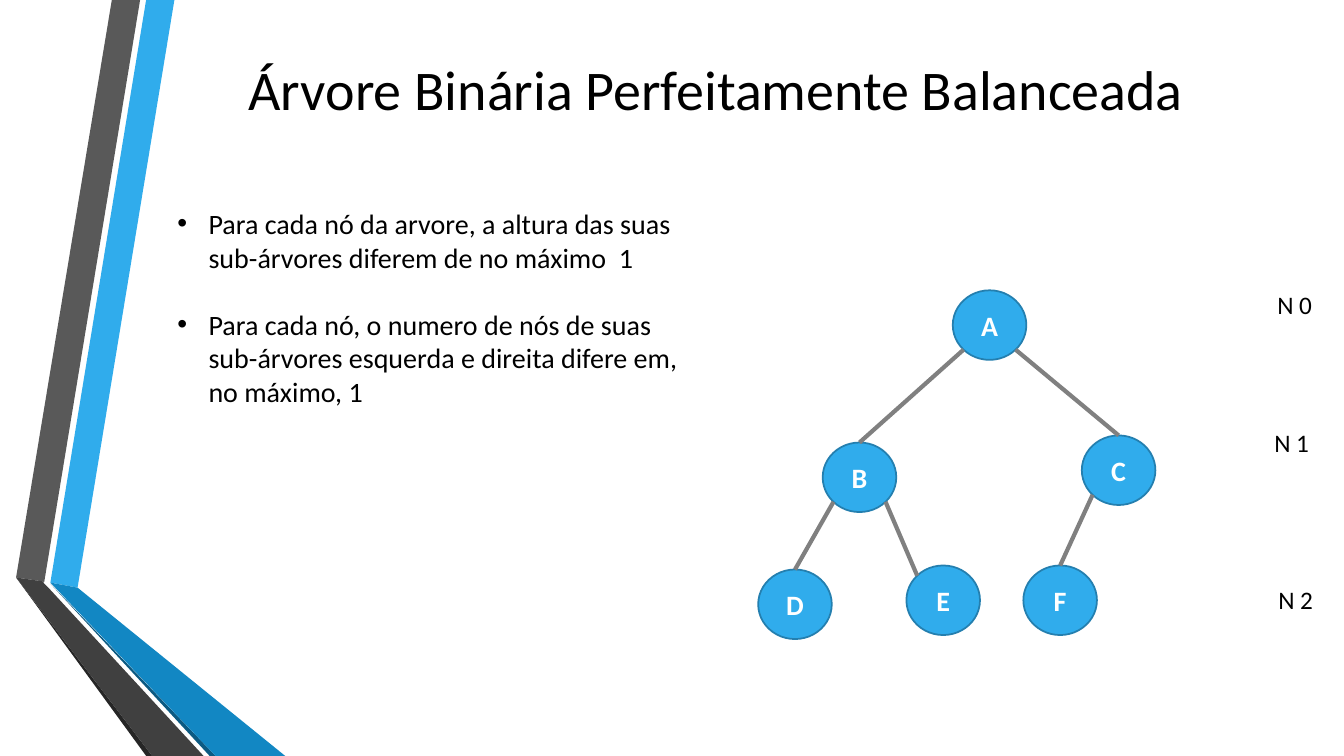
from dataclasses import dataclass

import pptx
import pptx.dml.color
import pptx.enum.shapes
import pptx.enum.text
import pptx.oxml.ns
import pptx.util
from lxml import etree
from pptx.shapes.base import BaseShape
from pptx.slide import Slide
from pptx.text.text import _Paragraph

PX = 9144  # 100 px to the inch


@dataclass(frozen=True)
class Theme:
    font: str = "Calibri"
    ink: str = "000000"
    node_text: str = "FFFFFF"
    node_fill: str = "30ACEC"
    node_line: str = "247FAF"
    edge: str = "808080"
    title_size: int = 40
    body_size: int = 20
    level_size: int = 18
    node_width: float = 1.25
    edge_width: float = 3


@dataclass(frozen=True)
class Ribbon:
    color: str
    points: tuple[tuple[int, int], ...]


@dataclass(frozen=True)
class Node:
    name: str
    left: int
    top: int


@dataclass(frozen=True)
class Edge:
    parent: str
    child: str
    to_top: bool = True


@dataclass(frozen=True)
class Level:
    text: str
    left: int
    top: int


THEME = Theme()
NODE_W, NODE_H = 73, 69
DIAGONAL = 0.5 ** 0.5 / 2  # centre to the 45° point, as a share of the size
TITLE = "Árvore Binária Perfeitamente Balanceada"
RULES = (
    "Para cada nó da arvore, a altura das suas sub-árvores diferem de no máximo  1",
    "Para cada nó, o numero de nós de suas sub-árvores esquerda e direita difere em, no máximo, 1",
)
RIBBONS = (
    Ribbon("30ACEC", ((50, 578), (77, 583), (173, 0), (145, 0))),
    Ribbon("595959", ((139, 0), (111, 0), (16, 573), (44, 577))),
    Ribbon("262626", ((16, 573), (145, 750), (151, 750))),
    Ribbon("0C5A82", ((50, 579), (208, 750), (214, 750))),
    Ribbon("1287C3", ((50, 578), (214, 750), (283, 750), (77, 583))),
    Ribbon("404040", ((202, 750), (48, 583), (43, 578), (44, 577), (16, 573), (151, 750))),
)
NODES = (
    Node("A", 945, 288),
    Node("B", 816, 439),
    Node("C", 1073, 432),
    Node("D", 752, 565),
    Node("E", 899, 561),
    Node("F", 1015, 561),
)
EDGES = (
    Edge("A", "B"),
    Edge("A", "C"),
    Edge("B", "D"),
    Edge("B", "E", to_top=False),
    Edge("C", "F"),
)
LEVELS = (Level("N 0", 1257, 282), Level("N 1", 1254, 419), Level("N 2", 1258, 575))


def px(length: float) -> pptx.util.Emu:
    return pptx.util.Emu(round(length * PX))


def rgb(color: str) -> pptx.dml.color.RGBColor:
    return pptx.dml.color.RGBColor.from_string(color)


def set_font(para: _Paragraph, size: int, color: str = THEME.ink, bold: bool = False) -> None:
    para.font.name = THEME.font
    para.font.size = pptx.util.Pt(size)
    para.font.color.rgb = rgb(color)
    para.font.bold = bold


def add_bullet(para: _Paragraph, indent: int) -> None:
    properties = para._p.get_or_add_pPr()
    properties.set("marL", str(px(indent)))
    properties.set("indent", str(px(-indent)))
    font = etree.SubElement(properties, pptx.oxml.ns.qn("a:buFont"))
    font.set("typeface", "Arial")
    bullet = etree.SubElement(properties, pptx.oxml.ns.qn("a:buChar"))
    bullet.set("char", "•")


def add_title(page: Slide) -> None:
    title = page.shapes.title
    title.left, title.top, title.width, title.height = px(162), px(-9), px(1096), px(192)
    frame = title.text_frame
    frame.text = TITLE
    frame.vertical_anchor = pptx.enum.text.MSO_ANCHOR.MIDDLE
    frame.paragraphs[0].alignment = pptx.enum.text.PP_ALIGN.CENTER
    set_font(frame.paragraphs[0], THEME.title_size)


def add_ribbon(page: Slide, ribbon: Ribbon) -> None:
    builder = page.shapes.build_freeform(*ribbon.points[0], scale=PX)
    builder.add_line_segments(ribbon.points[1:], close=True)
    shape = builder.convert_to_shape()
    shape.shadow.inherit = False
    shape.fill.solid()
    shape.fill.fore_color.rgb = rgb(ribbon.color)
    shape.line.fill.background()


def add_rules(page: Slide) -> None:
    box = page.shapes.add_textbox(px(166), px(200), px(539), px(246))
    frame = box.text_frame
    frame.word_wrap = True
    for index, rule in enumerate(RULES):
        para = frame.add_paragraph() if index else frame.paragraphs[0]
        para.text = rule
        set_font(para, THEME.body_size)
        if index:
            para.space_before = pptx.util.Pt(24)
        add_bullet(para, 31)


def add_node(page: Slide, node: Node) -> BaseShape:
    oval = pptx.enum.shapes.MSO_SHAPE.OVAL
    shape = page.shapes.add_shape(oval, px(node.left), px(node.top), px(NODE_W), px(NODE_H))
    shape.shadow.inherit = False
    shape.fill.solid()
    shape.fill.fore_color.rgb = rgb(THEME.node_fill)
    shape.line.color.rgb = rgb(THEME.node_line)
    shape.line.width = pptx.util.Pt(THEME.node_width)
    frame = shape.text_frame
    frame.text = node.name
    frame.vertical_anchor = pptx.enum.text.MSO_ANCHOR.MIDDLE
    frame.paragraphs[0].alignment = pptx.enum.text.PP_ALIGN.CENTER
    set_font(frame.paragraphs[0], THEME.body_size, THEME.node_text, bold=True)
    return shape


def rim_point(shape: BaseShape, across: float, down: float) -> tuple[int, int]:
    """Point at the given shares of the size away from the centre."""
    return (round(shape.left + shape.width * (0.5 + across)),
            round(shape.top + shape.height * (0.5 + down)))


def add_edge(page: Slide, edge: Edge, shapes: dict[str, BaseShape]) -> None:
    parent, child = shapes[edge.parent], shapes[edge.child]
    side = DIAGONAL if child.left > parent.left else -DIAGONAL
    start = rim_point(parent, side, DIAGONAL)
    end = rim_point(child, 0, -0.5) if edge.to_top else rim_point(child, -side, -DIAGONAL)
    straight = pptx.enum.shapes.MSO_CONNECTOR.STRAIGHT
    line = page.shapes.add_connector(straight, *start, *end)
    if edge.to_top:
        line.end_connect(child, 0)
    line.line.color.rgb = rgb(THEME.edge)
    line.line.width = pptx.util.Pt(THEME.edge_width)
    etree.SubElement(line._element.spPr, pptx.oxml.ns.qn("a:effectLst"))


def add_level(page: Slide, level: Level) -> None:
    box = page.shapes.add_textbox(px(level.left), px(level.top), px(56), px(40))
    box.text_frame.word_wrap = False
    box.text_frame.text = level.text
    set_font(box.text_frame.paragraphs[0], THEME.level_size)


def main() -> None:
    deck = pptx.Presentation()
    deck.slide_width, deck.slide_height = px(1333), px(750)
    page = deck.slides.add_slide(deck.slide_layouts[5])
    for ribbon in RIBBONS:
        add_ribbon(page, ribbon)
    add_title(page)
    add_rules(page)
    shapes = {node.name: add_node(page, node) for node in NODES}
    for edge in EDGES:
        add_edge(page, edge, shapes)
    for level in LEVELS:
        add_level(page, level)
    deck.save("out.pptx")


if __name__ == "__main__":
    main()
